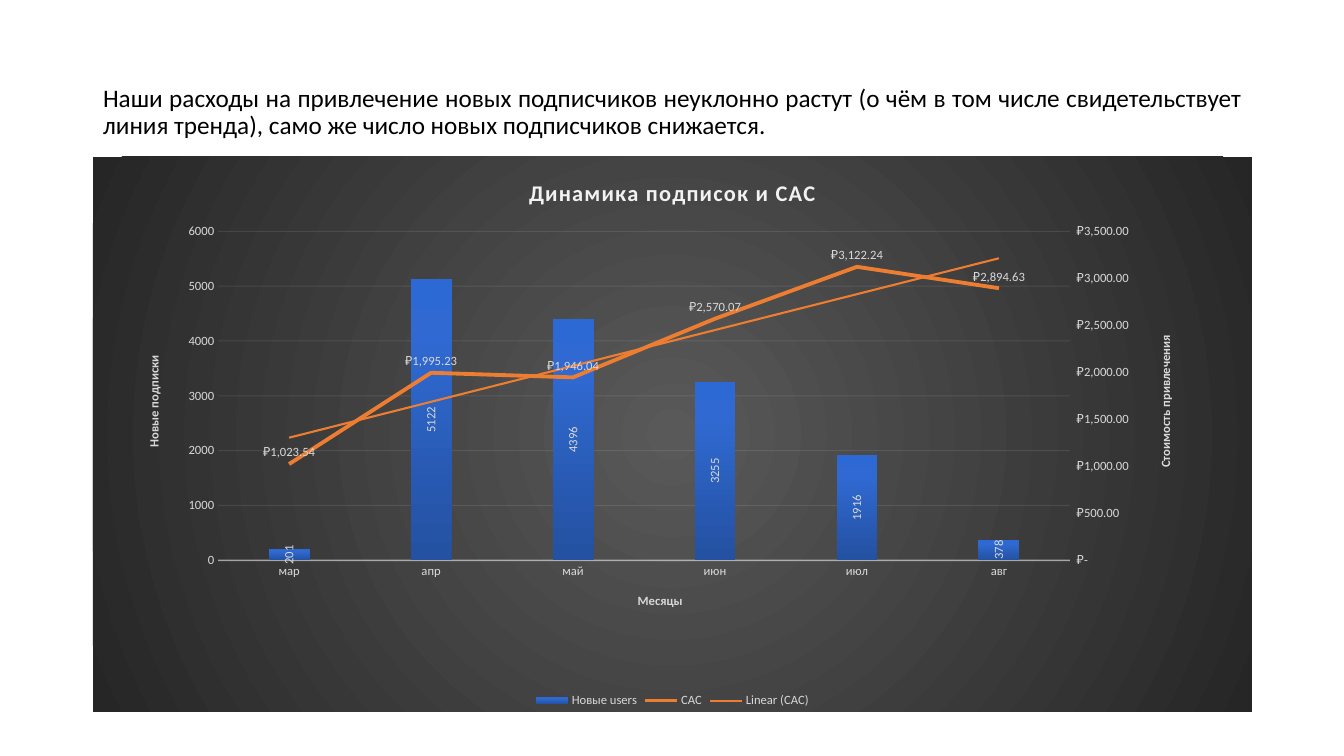
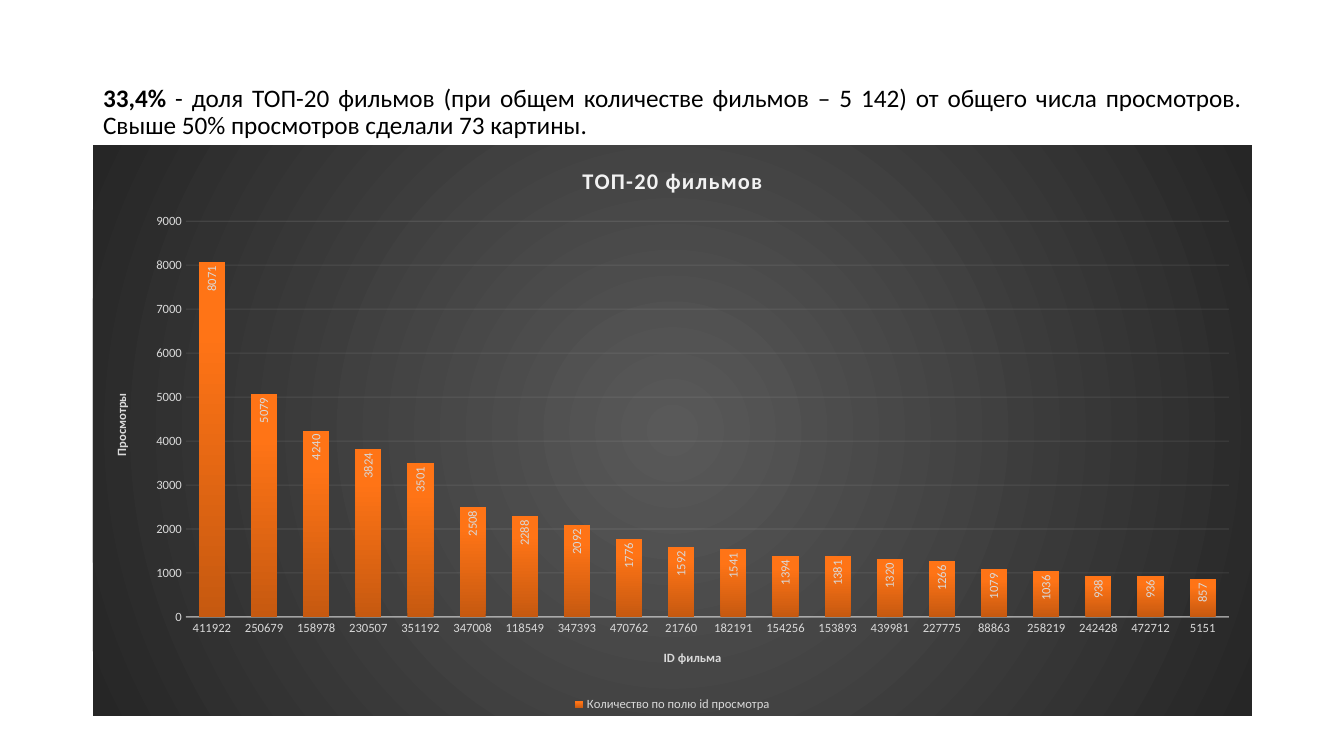
"""Build two slides, each a justified headline over a dark chart."""
from copy import deepcopy
from dataclasses import dataclass

from lxml.etree import SubElement
from pptx import Presentation
from pptx.chart.axis import ValueAxis
from pptx.chart.data import CategoryChartData as ChartData
from pptx.dml.color import RGBColor as Color
from pptx.enum.chart import XL_CHART_TYPE as ChartKind
from pptx.enum.chart import XL_LABEL_POSITION as LabelSpot
from pptx.enum.chart import XL_LEGEND_POSITION as LegendSpot
from pptx.enum.chart import XL_TICK_MARK as TickMark
from pptx.enum.text import MSO_ANCHOR as Anchor
from pptx.enum.text import MSO_AUTO_SIZE as AutoSize
from pptx.enum.text import PP_ALIGN as Align
from pptx.oxml import parse_xml
from pptx.oxml.ns import nsdecls, qn
from pptx.util import Pt

SCALE = 914400 / 100.8
UPWARD = "-5400000"
ROUBLES = '_("₽"* #,##0.00_);_("₽"* \\(#,##0.00\\);_("₽"* "-"??_);_(@_)'


@dataclass(frozen=True)
class Theme:
    font: str = "Calibri"
    ink: str = "000000"
    pale: str = "F2F2F2"
    label: str = "D9D9D9"
    accent: str = "ED7D31"
    backdrop: tuple = ((0, "595959"), (100, "262626"))
    blue: tuple = ((0, "2451A1"), (80, "2F69D1"), (100, "2C69D5"))
    orange: tuple = ((0, "C65910"), (80, "FF7416"), (100, "FF7517"))
    headline_size: int = 18
    title_size: int = 16
    label_size: int = 9
    base_size: int = 10


def px(length):
    return round(length * SCALE)


def gradient(stops, direction):
    marks = "".join(f'<a:gs pos="{place * 1000}"><a:srgbClr val="{color}"/></a:gs>'
                    for place, color in stops)
    return (f'<c:spPr {nsdecls("c", "a")}><a:gradFill><a:gsLst>{marks}</a:gsLst>'
            f'{direction}</a:gradFill><a:ln><a:noFill/></a:ln></c:spPr>')


def fade(element, query, percent):
    for color in element.xpath(query + "/c:spPr/a:ln//a:srgbClr"):
        SubElement(color, qn("a:alpha")).set("val", str(percent * 1000))


def rotate(bodies, rotation):
    for body in bodies:
        body.set("rot", rotation)
        body.set("vert", "horz")


class Slides:
    """Hold the style and the current slide."""

    def __init__(self, theme):
        self.theme = theme
        self.deck = Presentation()
        self.deck.slide_width, self.deck.slide_height = px(1344), px(756)
        self.page = None

    def style(self, font, size, color, bold=False):
        font.name, font.size, font.bold = self.theme.font, Pt(size), bold
        font.color.rgb = Color.from_string(color)

    def stroke(self, line, color, width):
        line.color.rgb = Color.from_string(color)
        line.width = Pt(width)

    def add_page(self, *spans):
        self.page = self.deck.slides.add_slide(self.deck.slide_layouts[5])
        title = self.page.shapes.title
        title.left, title.top, title.width, title.height = map(px, (93, 40, 1159, 146))
        frame = title.text_frame
        frame.auto_size, frame.vertical_anchor = AutoSize.NONE, Anchor.MIDDLE
        para = frame.paragraphs[0]
        para.alignment, para.line_spacing = Align.JUSTIFY, 0.9
        self.style(para.font, self.theme.headline_size, self.theme.ink)
        for text, bold in spans:
            span = para.add_run()
            span.text = text
            span.font.bold = bold

    def add_columns(self, top, height, title, categories, series, gap, number_format):
        data = ChartData(number_format=number_format)
        data.categories = categories
        for name, values in series:
            data.add_series(name, values)
        chart = self.page.shapes.add_chart(
            ChartKind.COLUMN_CLUSTERED, px(93), px(top), px(1159), px(height), data).chart
        self.style(chart.font, self.theme.base_size, self.theme.ink)
        backdrop = gradient(self.theme.backdrop, '<a:path path="circle"><a:fillToRect l="50000" '
                            't="50000" r="50000" b="50000"/></a:path>')
        chart.element.find(qn("c:txPr")).addprevious(parse_xml(backdrop))
        chart.has_title = True
        para = chart.chart_title.text_frame.paragraphs[0]
        para.text = title
        self.style(para.font, self.theme.title_size, self.theme.pale, True)
        for properties in chart.element.xpath("c:chart/c:title//a:defRPr"):
            properties.set("spc", "100")
        chart.has_legend = True
        chart.legend.position = LegendSpot.BOTTOM
        chart.legend.include_in_layout = False
        self.style(chart.legend.font, self.theme.label_size, self.theme.label)
        chart.plots[0].gap_width = gap
        chart.plots[0].vary_by_categories = False
        return chart

    def format_axes(self, chart, category_title, value_title):
        horizontal, vertical = chart.category_axis, chart.value_axis
        for axis in (horizontal, vertical):
            axis.major_tick_mark = axis.minor_tick_mark = TickMark.NONE
            self.style(axis.tick_labels.font, self.theme.label_size, self.theme.label)
        self.stroke(horizontal.format.line, self.theme.pale, 1)
        fade(horizontal._element, ".", 54)
        vertical.format.line.fill.background()
        vertical.has_major_gridlines = True
        self.stroke(vertical.major_gridlines.format.line, self.theme.pale, 0.75)
        fade(vertical._element, "c:majorGridlines", 10)
        self.name_axis(horizontal, category_title)
        self.name_axis(vertical, value_title, UPWARD)

    def name_axis(self, axis, text, rotation="0"):
        para = axis.axis_title.text_frame.paragraphs[0]
        para.text = text
        self.style(para.font, self.theme.label_size, self.theme.label, True)
        rotate(axis._element.xpath("c:title//a:bodyPr"), rotation)

    def label_series(self, series, spot, number_format, rotation="0"):
        labels = series.data_labels
        labels.show_value, labels.position = True, spot
        labels.number_format, labels.number_format_is_linked = number_format, False
        self.style(labels.font, self.theme.label_size, self.theme.label)
        rotate(labels._element.xpath("c:txPr/a:bodyPr"), rotation)

    def fill_columns(self, series, stops, spot, number_format):
        fill = gradient(stops, '<a:lin ang="16200000" scaled="0"/>')
        series._element.find(qn("c:tx")).addnext(parse_xml(fill))
        self.label_series(series, spot, number_format, UPWARD)

    def move_to_line(self, chart, series, axis_title, number_format):
        self.stroke(series.format.line, self.theme.accent, 2.75)
        self.label_series(series, LabelSpot.ABOVE, number_format)
        element = series._element
        for flag in element.findall(qn("c:invertIfNegative")):
            element.remove(flag)
        names = nsdecls("c", "a")
        element.find(qn("c:spPr")).addnext(
            parse_xml(f'<c:marker {names}><c:symbol val="none"/></c:marker>'))
        element.find(qn("c:cat")).addprevious(parse_xml(
            f'<c:trendline {names}><c:name>Linear ({series.name})</c:name><c:spPr>'
            f'<a:ln w="{int(Pt(1.5))}"><a:solidFill><a:srgbClr val="{self.theme.accent}"/>'
            '</a:solidFill></a:ln></c:spPr><c:trendlineType val="linear"/>'
            '<c:dispRSqr val="0"/><c:dispEq val="0"/></c:trendline>'))
        SubElement(element, qn("c:smooth")).set("val", "0")
        line_plot = parse_xml(
            f'<c:lineChart {names}><c:grouping val="standard"/><c:varyColors val="0"/>'
            '<c:marker val="1"/><c:axId val="7001"/><c:axId val="7002"/></c:lineChart>')
        chart.plots[0]._element.addnext(line_plot)
        line_plot.find(qn("c:varyColors")).addnext(element)
        self.add_right_axis(chart, axis_title, number_format)

    def add_right_axis(self, chart, title, number_format):
        vertical, horizontal = chart.value_axis._element, chart.category_axis._element
        right, hidden = deepcopy(vertical), deepcopy(horizontal)
        for axis, own, other in ((hidden, "7001", "7002"), (right, "7002", "7001")):
            axis.find(qn("c:axId")).set("val", own)
            axis.find(qn("c:crossAx")).set("val", other)
        hidden.find(qn("c:delete")).set("val", "1")
        hidden.remove(hidden.find(qn("c:title")))
        right.find(qn("c:axPos")).set("val", "r")
        right.find(qn("c:crosses")).set("val", "max")
        vertical.addnext(right)
        right.addnext(hidden)
        axis = ValueAxis(right)
        axis.has_major_gridlines = False
        axis.tick_labels.number_format = number_format
        axis.tick_labels.number_format_is_linked = False
        self.name_axis(axis, title, UPWARD)

    def place_plot(self, chart, left, top, width, height):
        area = chart.element.find(".//" + qn("c:plotArea"))
        for layout in area.findall(qn("c:layout")):
            area.remove(layout)
        sizes = "".join(f'<c:{name} val="{value}"/>' for name, value in
                        zip("xywh", (left, top, width, height)))
        area.insert(0, parse_xml(
            f'<c:layout {nsdecls("c")}><c:manualLayout><c:layoutTarget val="inner"/>'
            f'<c:xMode val="edge"/><c:yMode val="edge"/>{sizes}</c:manualLayout></c:layout>'))


theme = Theme()
slides = Slides(theme)

slides.add_page(("Наши расходы на привлечение новых подписчиков неуклонно растут (о чём в том "
                 "числе свидетельствует линия тренда), само же число новых подписчиков "
                 "снижается.", False))
subscriptions = slides.add_columns(
    157, 555, "Динамика подписок и CAC", ("мар", "апр", "май", "июн", "июл", "авг"),
    (("Новые users", (201, 5122, 4396, 3255, 1916, 378)),
     ("CAC", (1023.54, 1995.23, 1946.04, 2570.07, 3122.24, 2894.63))), 247, "0")
slides.format_axes(subscriptions, "Месяцы", "Новые подписки")
new_users, cost = subscriptions.plots[0].series
slides.fill_columns(new_users, theme.blue, LabelSpot.CENTER, "0")
slides.move_to_line(subscriptions, cost, "Стоимость привлечения", ROUBLES)
slides.place_plot(subscriptions, 0.108, 0.134, 0.735, 0.593)

slides.add_page(("33,4%", True),
                (" - доля ТОП-20 фильмов (при общем количестве фильмов – 5 142) от общего числа "
                 "просмотров. Свыше 50% просмотров сделали 73 картины.", False))
views = {
    "411922": 8071, "250679": 5079, "158978": 4240, "230507": 3824, "351192": 3501,
    "347008": 2508, "118549": 2288, "347393": 2092, "470762": 1776, "21760": 1592,
    "182191": 1541, "154256": 1394, "153893": 1381, "439981": 1320, "227775": 1266,
    "88863": 1079, "258219": 1036, "242428": 938, "472712": 936, "5151": 857,
}
films = slides.add_columns(
    145, 571, "ТОП-20 фильмов", tuple(views),
    (("Количество по полю id просмотра", tuple(views.values())),), 100, "General")
films.plots[0].overlap = -24
slides.format_axes(films, "ID фильма", "Просмотры")
slides.fill_columns(films.plots[0].series[0], theme.orange, LabelSpot.INSIDE_END, "General")

slides.deck.save("out.pptx")
